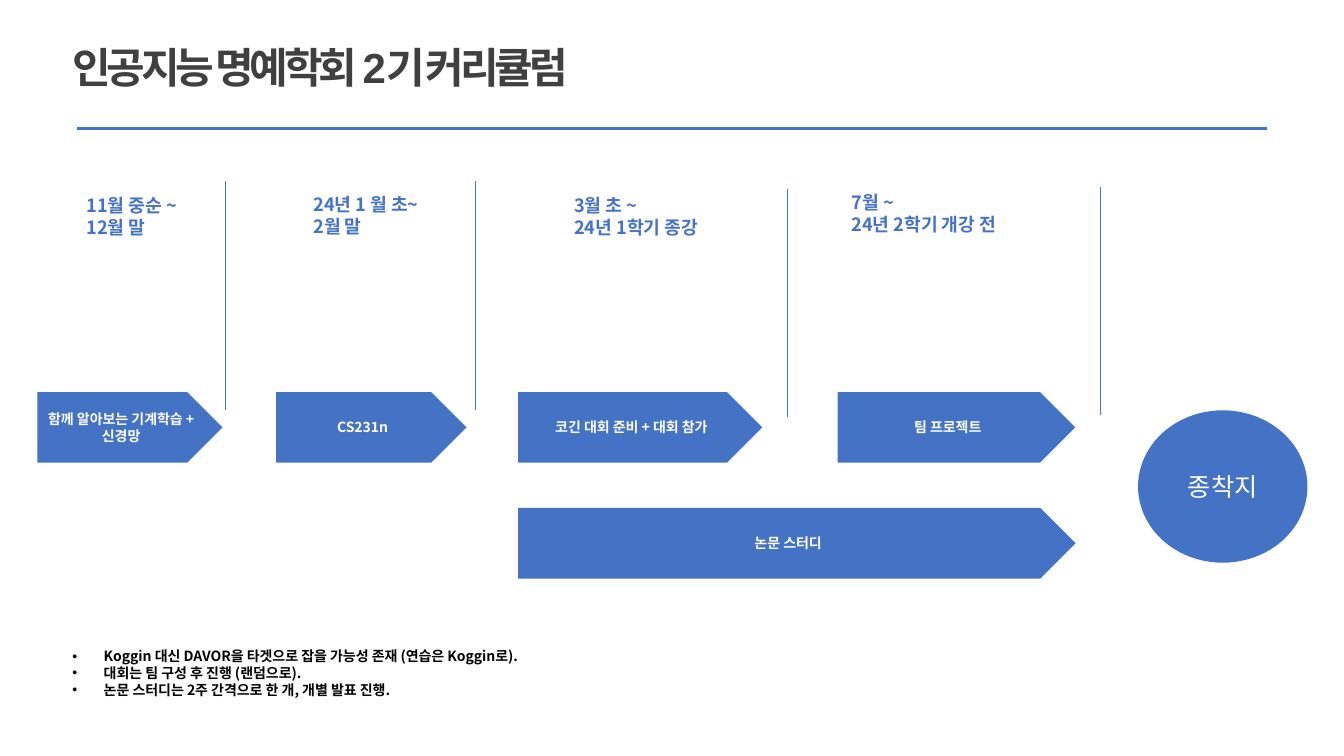
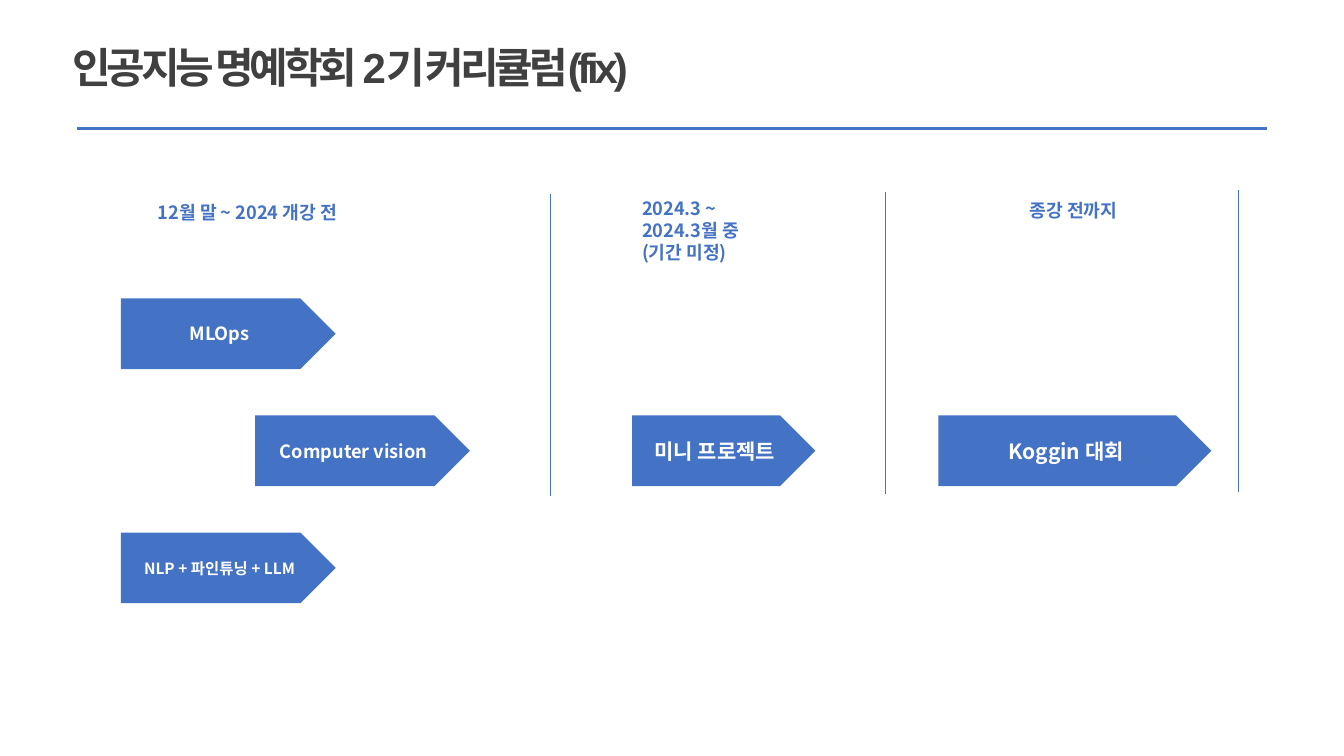
from lxml import etree
from pptx import Presentation
from pptx.dml.color import RGBColor
from pptx.enum.shapes import MSO_CONNECTOR, MSO_SHAPE as Preset
from pptx.enum.text import MSO_ANCHOR as Anchor, MSO_AUTO_SIZE as AutoSize, PP_ALIGN as Align
from pptx.oxml.ns import qn
from pptx.util import Cm, Pt

BLUE = RGBColor(0x44, 0x72, 0xC4)
DARK = RGBColor(0x40, 0x40, 0x40)
WHITE = RGBColor(0xFF, 0xFF, 0xFF)
BLACK = RGBColor(0, 0, 0)
TITLE_FONT, TEXT_FONT = "Arial", "Noto Sans CJK KR"
LINE_FACTOR = 1.2
ARROW_HEIGHT = 1.78
TITLE_ONLY, TITLE_AND_BODY = 5, 1

# Content, lengths in cm
# periods: left, top, width, rows, paragraphs
# dividers: x, top; arrows: left, top, width, size, text
FIRST_ROW, STUDY_ROW = 9.88, 12.8
TRACK_ROWS = [7.52 + 2.95 * row for row in range(3)]

PLANS = [
    {
        "title": "인공지능 명예학회 2기 커리큘럼",
        "title_width": 14.33,
        "periods": [
            (1.93, 4.78, 2.9, 2, ["11월 중순 ~ 12월 말"]),
            (7.65, 4.75, 3.3, 2, ["24년 1 월 초~ 2월 말"]),
            (14.22, 4.78, 3.89, 2, ["3월 초 ~", "24년 1학기 종강"]),
            (21.21, 4.7, 5.23, 2, ["7월 ~", "24년 2학기 개강 전"]),
        ],
        "dividers": [(5.69, 4.57), (11.99, 4.57), (19.84, 4.75), (27.74, 4.7)],
        "divider_length": 5.77,
        "arrows": [
            (0.94, FIRST_ROW, 4.67, 10, "함께 알아보는 기계학습 + 신경망"),
            (6.96, FIRST_ROW, 4.8, 10, "CS231n"),
            (13.06, FIRST_ROW, 6.15, 10, "코긴 대회 준비 + 대회 참가"),
            (21.11, FIRST_ROW, 5.99, 10, "팀 프로젝트"),
            (13.06, STUDY_ROW, 14.05, 10, "논문 스터디"),
        ],
        "goal": "종착지",
        "notes": [
            "Koggin 대신 DAVOR을 타겟으로 잡을 가능성 존재 (연습은 Koggin로).",
            "대회는 팀 구성 후 진행 (랜덤으로).",
            "논문 스터디는 2주 간격으로 한 개, 개별 발표 진행.",
        ],
    },
    {
        "title": "인공지능 명예학회 2기 커리큘럼(fix)",
        "title_width": 15.82,
        "periods": [
            (3.73, 4.95, 5.77, 1, ["12월 말 ~ 2024 개강 전"]),
            (15.93, 4.85, 4.62, 3, ["2024.3 ~", "2024.3월 중", "(기간 미정)"]),
            (25.7, 4.9, 3.89, 1, ["종강 전까지"]),
        ],
        "dividers": [(13.87, 4.9), (22.3, 4.85), (31.22, 4.8)],
        "divider_length": 7.59,
        "arrows": [
            (3.05, TRACK_ROWS[0], 5.41, 13, "MLOps"),
            (6.43, TRACK_ROWS[1], 5.41, 13, "Computer vision"),
            (3.05, TRACK_ROWS[2], 5.41, 11, "NLP + 파인튜닝 + LLM"),
            (15.93, TRACK_ROWS[1], 4.62, 15, "미니 프로젝트"),
            (23.65, TRACK_ROWS[1], 6.88, 15, "Koggin 대회"),
        ],
    },
]


def place(holder, left, top, width, height):
    holder.left, holder.top = Cm(left), Cm(top)
    holder.width, holder.height = Cm(width), Cm(height)


def write(frame, lines, size, color, bold=True, align=Align.LEFT,
          anchor=Anchor.TOP, font=TEXT_FONT, line_height=None):
    """Fill a text frame, one paragraph for each line."""
    frame.word_wrap = True
    frame.vertical_anchor = anchor
    for index, line in enumerate(lines):
        paragraph = frame.add_paragraph() if index else frame.paragraphs[0]
        paragraph.alignment = align
        paragraph.space_before = Pt(0)
        paragraph.line_spacing = Pt(line_height or size * LINE_FACTOR)
        run = paragraph.add_run()
        run.text = line
        run.font.size, run.font.bold, run.font.name = Pt(size), bold, font
        run.font.color.rgb = color
        east_asian = etree.SubElement(run.font._element, qn("a:ea"))
        east_asian.set("typeface", TEXT_FONT)


def add_rule(slide, x1, y1, x2, y2, weight):
    rule = slide.shapes.add_connector(
        MSO_CONNECTOR.STRAIGHT, Cm(x1), Cm(y1), Cm(x2), Cm(y2))
    rule.line.color.rgb = BLUE
    rule.line.width = Pt(weight)
    etree.SubElement(rule._element.spPr, qn("a:effectLst"))


def add_block(slide, preset, left, top, width, height, text, size, bold=True):
    block = slide.shapes.add_shape(preset, Cm(left), Cm(top), Cm(width), Cm(height))
    block.shadow.inherit = False
    block.fill.solid()
    block.fill.fore_color.rgb = BLUE
    block.line.fill.background()
    write(block.text_frame, [text], size, WHITE, bold, Align.CENTER, Anchor.MIDDLE)


def add_heading(slide, text, width):
    """Title and the rule under it, the same on every slide."""
    heading = slide.shapes.title
    place(heading, 1.57, 0.84, width, 1.55)
    write(heading.text_frame, [text], 30, DARK, font=TITLE_FONT, line_height=38)
    heading.text_frame.word_wrap = False
    heading.text_frame.auto_size = AutoSize.SHAPE_TO_FIT_TEXT
    for run in heading.text_frame.paragraphs[0].runs:
        run.font._element.set("spc", "-300")
    add_rule(slide, 1.93, 3.23, 31.93, 3.23, 2.25)


def add_notes_list(slide, notes):
    body = slide.placeholders[1]
    place(body, 1.57, 16.2, 21.54, 1.55)
    write(body.text_frame, notes, 10, BLACK)
    body.text_frame.auto_size = AutoSize.NONE
    hanging = Cm(0.79)
    for paragraph in body.text_frame.paragraphs:
        properties = paragraph._p.get_or_add_pPr()
        properties.set("marL", str(hanging))
        properties.set("indent", str(-hanging))
        etree.SubElement(properties, qn("a:buFont")).set("typeface", "Arial")
        etree.SubElement(properties, qn("a:buChar")).set("char", "•")


def build_plan(deck, plan):
    layout = TITLE_AND_BODY if "notes" in plan else TITLE_ONLY
    slide = deck.slides.add_slide(deck.slide_layouts[layout])
    add_heading(slide, plan["title"], plan["title_width"])

    # Timeline
    for left, top, width, size, text in plan["arrows"]:
        add_block(slide, Preset.PENTAGON, left, top, width, ARROW_HEIGHT, text, size)
    for x, top in plan["dividers"]:
        add_rule(slide, x, top + plan["divider_length"], x, top, 0.5)
    for left, top, width, rows, lines in plan["periods"]:
        period = slide.shapes.add_textbox(
            Cm(left), Cm(top), Cm(width), Cm(0.25 + 0.56 * rows))
        write(period.text_frame, lines, 13, BLUE)

    # Destination and remarks
    if "goal" in plan:
        add_block(slide, Preset.OVAL, 28.68, 10.34, 4.27, 3.84,
                  plan["goal"], 18, bold=False)
    if "notes" in plan:
        add_notes_list(slide, plan["notes"])


def main():
    deck = Presentation()
    deck.slide_width, deck.slide_height = Cm(33.87), Cm(19.05)
    for plan in PLANS:
        build_plan(deck, plan)
    deck.save("out.pptx")


if __name__ == "__main__":
    main()
